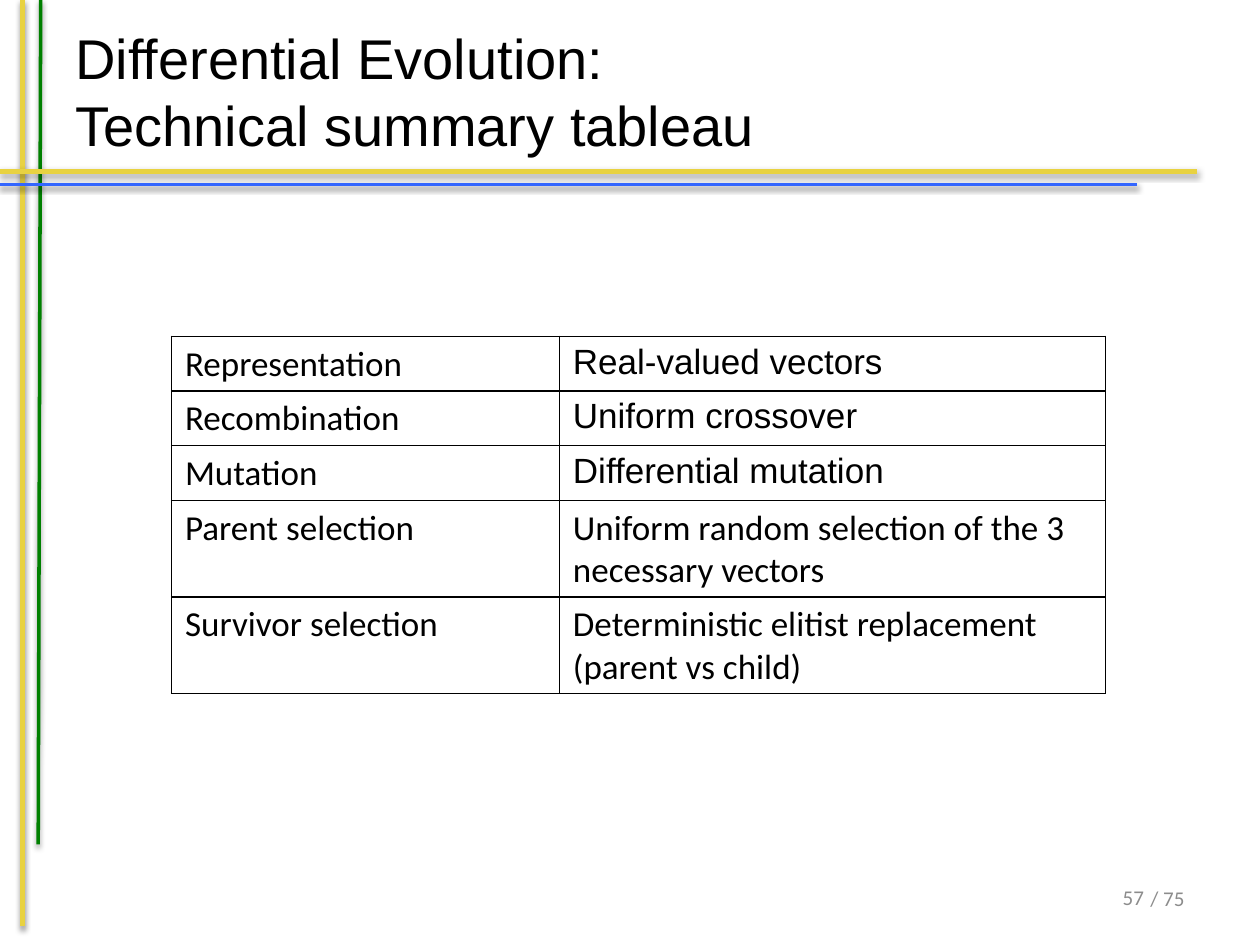
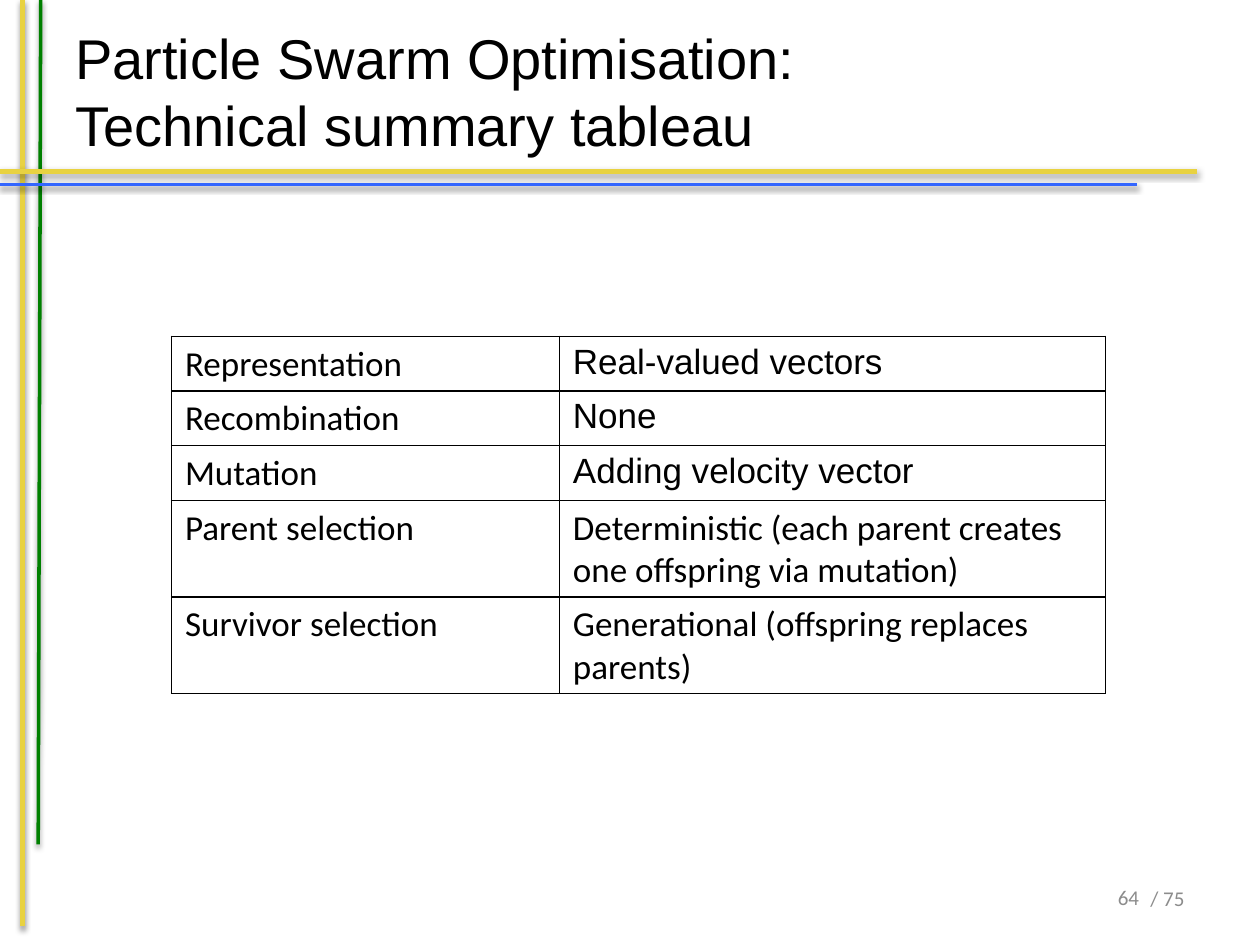
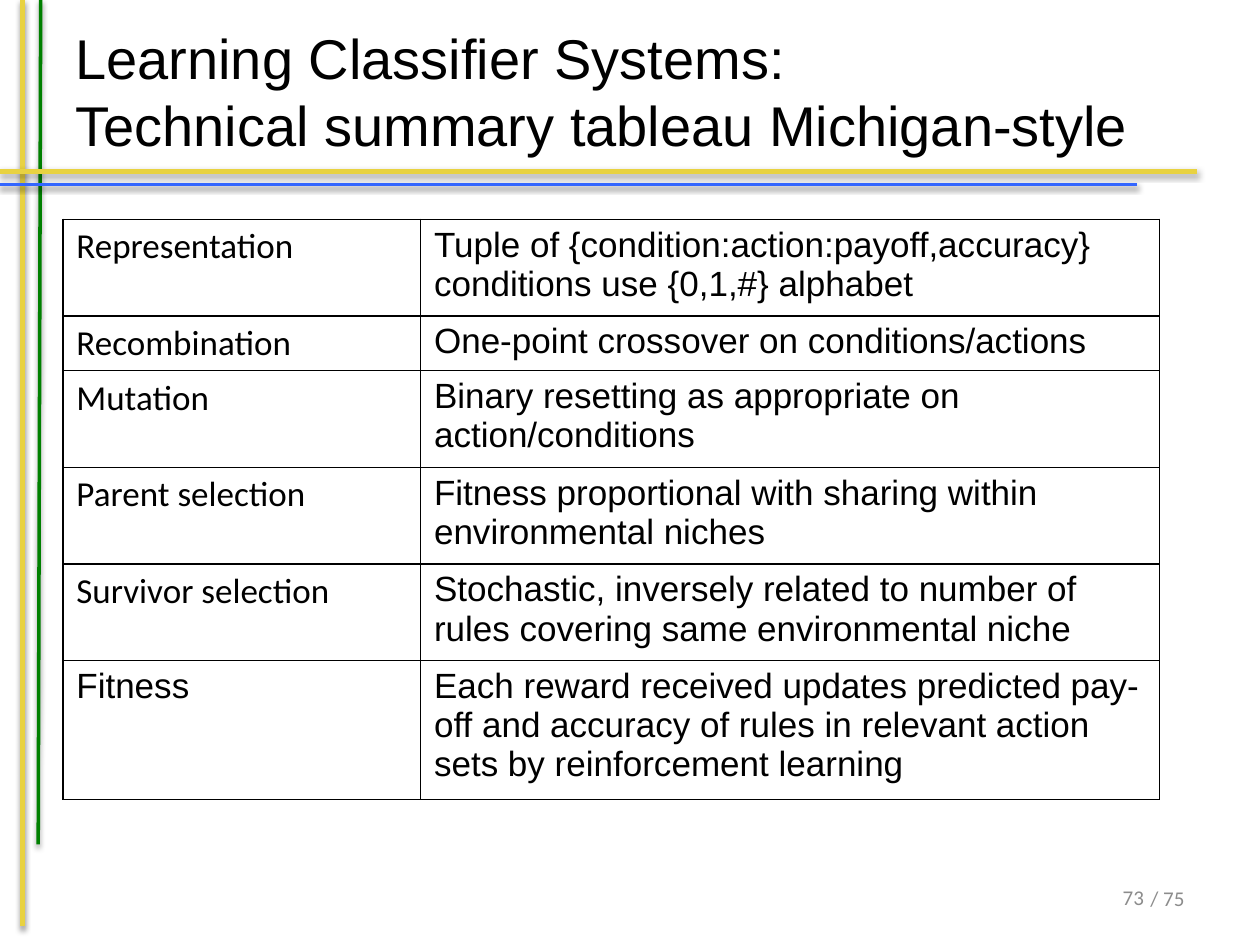
from lxml.etree import SubElement
from pptx import Presentation
from pptx.dml.color import RGBColor
from pptx.enum.shapes import MSO_CONNECTOR
from pptx.enum.text import MSO_ANCHOR as Anchor, PP_ALIGN as Align
from pptx.oxml import parse_xml
from pptx.oxml.ns import nsdecls, qn
from pptx.util import Cm, Pt

BLACK, GREY = "000000", "8C8C8C"
YELLOW, GREEN, BLUE = "E8D241", "008000", "3366FF"
ARIAL, CALIBRI = "Arial", "Calibri"

# Fonts of the label and the value in a table row
MIXED, PLAIN, SANS = (CALIBRI, ARIAL), (CALIBRI, CALIBRI), (ARIAL, ARIAL)

# Smallest row height and side margin of a cell, in cm
ROW_HEIGHT, CELL_MARGIN = 1.04, 0.27

# Start and end in cm, colour, width in points
RULES = [
    ((0.46, 0), (0.46, 18.67), YELLOW, 3),
    ((0.82, 0), (0.77, 17.02), GREEN, 2),
    ((0, 3.45), (24.13, 3.45), YELLOW, 3),
    ((0, 3.72), (22.93, 3.72), BLUE, 2),
]

# Left, top and column widths in cm
NARROW_TABLE = (3.46, 6.78, (7.82, 11.01))
WIDE_TABLE = (1.27, 4.42, (7.21, 14.89))

SLIDES = [
    ("Differential Evolution:\nTechnical summary tableau", "57", NARROW_TABLE, [
        ("Representation", "Real-valued vectors", MIXED),
        ("Recombination", "Uniform crossover", MIXED),
        ("Mutation", "Differential mutation", MIXED),
        ("Parent selection", "Uniform random selection of the 3 necessary vectors",
         PLAIN),
        ("Survivor selection", "Deterministic elitist replacement (parent vs child)",
         PLAIN),
    ]),
    ("Particle Swarm Optimisation:\nTechnical summary tableau", "64 ", NARROW_TABLE, [
        ("Representation", "Real-valued vectors", MIXED),
        ("Recombination", "None", MIXED),
        ("Mutation", "Adding velocity vector", MIXED),
        ("Parent selection",
         "Deterministic (each parent creates one offspring via mutation)", PLAIN),
        ("Survivor selection", "Generational (offspring replaces parents)", PLAIN),
    ]),
    ("Learning Classifier Systems:\nTechnical summary tableau Michigan-style", "73",
     WIDE_TABLE, [
        ("Representation",
         "Tuple of {condition:action:payoff,accuracy} conditions use {0,1,#} alphabet",
         MIXED),
        ("Recombination", "One-point crossover on conditions/actions", MIXED),
        ("Mutation", "Binary resetting as appropriate on action/conditions", MIXED),
        ("Parent selection",
         "Fitness proportional with sharing within environmental niches", MIXED),
        ("Survivor selection",
         "Stochastic, inversely related to number of rules covering same "
         "environmental niche", MIXED),
        ("Fitness",
         "Each reward received updates predicted pay-off and accuracy of rules in "
         "relevant action sets by reinforcement learning", SANS),
    ]),
]


def colour(value):
    return RGBColor.from_string(value)


def write(frame, text, size=20, font=CALIBRI, color=BLACK, align=Align.LEFT):
    paragraph = frame.paragraphs[0]
    paragraph.text = text
    paragraph.alignment = align
    for run in paragraph.runs:
        run.font.size = Pt(size)
        run.font.name = font
        run.font.color.rgb = colour(color)


def add_text(slide, box, text, anchor=Anchor.TOP, wrap=True, **text_format):
    frame = slide.shapes.add_textbox(*map(Cm, box)).text_frame
    frame.word_wrap = wrap
    frame.vertical_anchor = anchor
    write(frame, text, **text_format)


def add_rule(slide, start, end, color, width):
    rule = slide.shapes.add_connector(MSO_CONNECTOR.STRAIGHT, *map(Cm, start + end))
    rule.line.color.rgb = colour(color)
    rule.line.width = Pt(width)
    rule._element.spPr.append(parse_xml(
        f'<a:effectLst {nsdecls("a")}><a:outerShdw blurRad="40000" dist="20000" '
        'dir="5400000" rotWithShape="0"><a:srgbClr val="000000">'
        '<a:alpha val="38000"/></a:srgbClr></a:outerShdw></a:effectLst>'))


def add_frame(slide, title, number):
    # Crossing rules
    for rule in RULES:
        add_rule(slide, *rule)
    # Title
    add_text(slide, (1.27, 0.23, 22.86, 3.18), title, anchor=Anchor.MIDDLE,
             size=32, font=ARIAL)
    # Page number and page count
    footer = dict(size=12, color=GREY, align=Align.RIGHT)
    add_text(slide, (22.91, 17.73, 1.22, 0.76), "/ 75", wrap=False, **footer)
    add_text(slide, (20.69, 17.39, 2.62, 1.4), number, anchor=Anchor.MIDDLE, **footer)


def add_borders(cell, color=BLACK, width=1):
    properties = cell._tc.get_or_add_tcPr()
    for index, side in enumerate(("lnL", "lnR", "lnT", "lnB")):
        line = SubElement(properties, qn(f"a:{side}"), w=str(Pt(width)))
        fill = SubElement(line, qn("a:solidFill"))
        SubElement(fill, qn("a:srgbClr"), val=color)
        properties.insert(index, line)


def add_summary(slide, box, rows):
    left, top, widths = box
    table = slide.shapes.add_table(len(rows), len(widths), Cm(left), Cm(top),
                                   Cm(sum(widths)), Cm(ROW_HEIGHT * len(rows))).table
    table.first_row = table.horz_banding = False
    for column, width in zip(table.columns, widths):
        column.width = Cm(width)
    for row, (label, value, fonts) in zip(table.rows, rows):
        for cell, text, font in zip(row.cells, (label, value), fonts):
            write(cell.text_frame, text, font=font)
            cell.margin_left = cell.margin_right = Cm(CELL_MARGIN)
            cell.fill.background()
            add_borders(cell)


def main():
    presentation = Presentation()
    presentation.slide_width, presentation.slide_height = Cm(25.4), Cm(19.05)
    for title, number, box, rows in SLIDES:
        slide = presentation.slides.add_slide(presentation.slide_layouts[6])
        add_frame(slide, title, number)
        add_summary(slide, box, rows)
    presentation.save("out.pptx")


if __name__ == "__main__":
    main()
